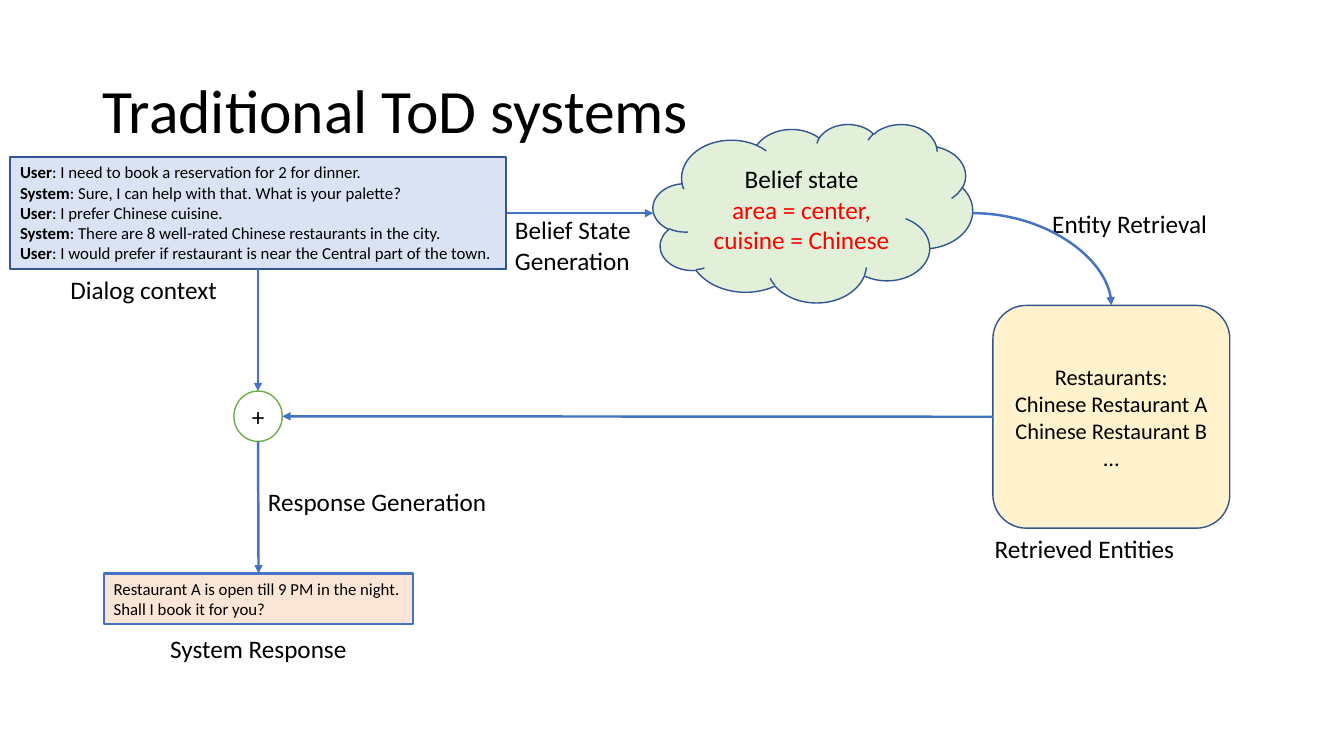
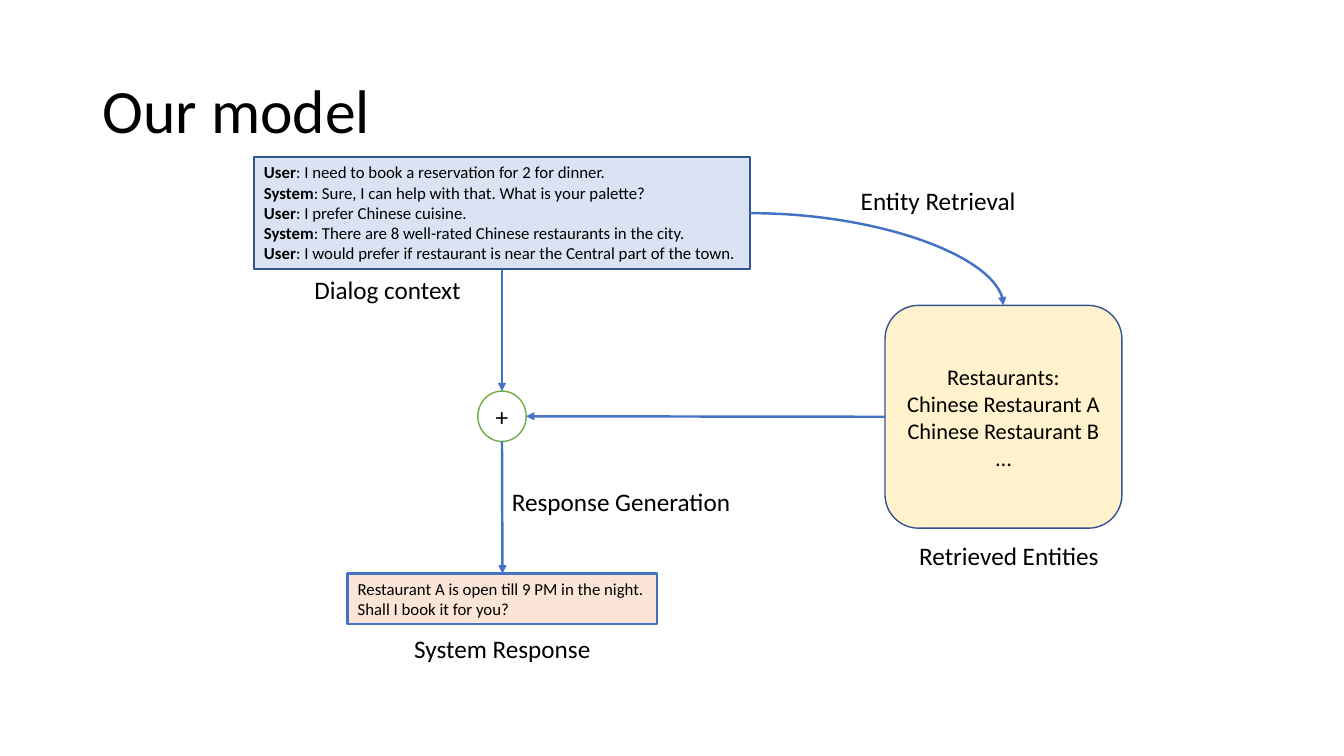
"""Builds two slides that compare dialogue system pipelines as flow diagrams."""

from dataclasses import dataclass

import lxml.etree
import pptx
import pptx.dml.color
import pptx.enum.shapes
import pptx.enum.text
import pptx.oxml.ns
import pptx.presentation
import pptx.slide
import pptx.util

SHAPE = pptx.enum.shapes.MSO_SHAPE
CONNECTOR = pptx.enum.shapes.MSO_CONNECTOR
ALIGN = pptx.enum.text.PP_ALIGN
ANCHOR = pptx.enum.text.MSO_ANCHOR
FIT = pptx.enum.text.MSO_AUTO_SIZE

COLUMNS, ROWS = 133.33, 75
CELL = pptx.util.Inches(0.1)
FONT = "Calibri"
BLACK, RED, WHITE = "000000", "FF0000", "FFFFFF"
NAVY, BLUE, GREEN = "325491", "4472C4", "70AD47"
PALE_BLUE, PALE_GREEN = "DAE3F3", "E2F0D9"
PALE_YELLOW, PALE_ORANGE = "FFF2CC", "FBE5D6"
LABEL_HEIGHT = 4
Point = tuple[float, float]


@dataclass(frozen=True)
class Line:
    text: str
    speaker: str = ""
    color: str = BLACK


@dataclass(frozen=True)
class Box:
    column: float
    row: float
    width: float
    height: float
    lines: tuple[Line, ...]
    size: float = 18
    kind: SHAPE | None = None
    fill: str = WHITE
    border: str = NAVY
    weight: float = 1
    align: ALIGN = ALIGN.LEFT
    anchor: ANCHOR = ANCHOR.TOP
    wrap: bool = False
    fit: FIT = FIT.SHAPE_TO_FIT_TEXT
    spacing: float = 1

    @property
    def top(self) -> Point:
        return self.column + self.width / 2, self.row

    @property
    def bottom(self) -> Point:
        return self.column + self.width / 2, self.row + self.height

    @property
    def left(self) -> Point:
        return self.column, self.row + self.height / 2

    @property
    def right(self) -> Point:
        return self.column + self.width, self.row + self.height / 2


DIALOG = (
    Line(": I need to book a reservation for 2 for dinner.", "User"),
    Line(": Sure, I can help with that. What is your palette?", "System"),
    Line(": I prefer Chinese cuisine.", "User"),
    Line(": There are 8 well-rated Chinese restaurants in the city.", "System"),
    Line(": I would prefer if restaurant is near the Central part of the town.", "User"),
)
RESTAURANTS = tuple(
    map(Line, ("Restaurants:", "Chinese Restaurant A", "Chinese Restaurant B", "…"))
)
RESPONSE = (
    Line("Restaurant A is open till 9 PM in the night."),
    Line("Shall I book it for you?"),
)
BELIEF = (
    Line("Belief state"),
    Line("area = center,", color=RED),
    Line("cuisine = Chinese", color=RED),
)


def rgb(color: str) -> pptx.dml.color.RGBColor:
    return pptx.dml.color.RGBColor.from_string(color)


def cells(*lengths: float) -> list[pptx.util.Emu]:
    return [pptx.util.Emu(round(length * CELL)) for length in lengths]


def label(text: str, column: float, row: float, width: float) -> Box:
    return Box(column, row, width, LABEL_HEIGHT, (Line(text),))


def node(
    column: float, row: float, width: float, height: float, lines: tuple[Line, ...],
    kind: SHAPE, fill: str, border: str = NAVY, size: float = 18,
) -> Box:
    return Box(
        column, row, width, height, lines, size, kind, fill, border,
        align=ALIGN.CENTER, anchor=ANCHOR.MIDDLE, wrap=True, fit=FIT.NONE,
    )


def draw_box(page: pptx.slide.Slide, box: Box) -> None:
    place = cells(box.column, box.row, box.width, box.height)
    if box.kind is None:
        shape = page.shapes.add_textbox(*place)
    else:
        shape = page.shapes.add_shape(box.kind, *place)
        shape.shadow.inherit = False
        shape.fill.solid()
        shape.fill.fore_color.rgb = rgb(box.fill)
        shape.line.color.rgb = rgb(box.border)
        shape.line.width = pptx.util.Pt(box.weight)
    if box.kind == SHAPE.ROUNDED_RECTANGLE:
        shape.adjustments[0] = 0.15
    frame = shape.text_frame
    frame.text = "\n".join(line.speaker or line.text for line in box.lines)
    frame.word_wrap = box.wrap
    frame.auto_size = box.fit
    frame.vertical_anchor = box.anchor
    for para, line in zip(frame.paragraphs, box.lines):
        para.alignment = box.align
        para.line_spacing = box.spacing
        if line.speaker:
            para.runs[0].font.bold = True
            para.add_run().text = line.text
        for span in para.runs:
            span.font.name = FONT
            span.font.size = pptx.util.Pt(box.size)
            span.font.color.rgb = rgb(line.color)


def draw_arrow(
    page: pptx.slide.Slide, start: Point, end: Point, curved: bool = False
) -> None:
    kind = CONNECTOR.CURVE if curved else CONNECTOR.STRAIGHT
    arrow = page.shapes.add_connector(kind, *cells(*start, *end))
    arrow.line.color.rgb = rgb(BLUE)
    arrow.line.width = pptx.util.Pt(1.75)
    qn = pptx.oxml.ns.qn
    properties = arrow.element.spPr
    if curved:
        properties.find(qn("a:prstGeom")).set("prst", "curvedConnector2")
    outline = properties.find(qn("a:ln"))
    lxml.etree.SubElement(outline, qn("a:tailEnd"), type="triangle")
    lxml.etree.SubElement(properties, qn("a:effectLst"))


def add_page(deck: pptx.presentation.Presentation, title: str) -> pptx.slide.Slide:
    page = deck.slides.add_slide(deck.slide_layouts[6])
    heading = Box(
        9.2, 4, 115, 14.5, (Line(title),), 44,
        anchor=ANCHOR.MIDDLE, wrap=True, fit=FIT.NONE, spacing=0.9,
    )
    draw_box(page, heading)
    return page


def draw_flow(
    page: pptx.slide.Slide, start: float, store: float,
    retrieval: Point, retrieved: Point, belief: Box | None = None,
) -> None:
    dialog = Box(
        start, 15.6, 49.2, 11.1, DIALOG, 12, SHAPE.RECTANGLE, PALE_BLUE, weight=1.5
    )
    entities = node(
        store, 30.3, 23.5, 22.1, RESTAURANTS,
        SHAPE.ROUNDED_RECTANGLE, PALE_YELLOW, size=16,
    )
    response = Box(
        start + 9.3, 56.9, 30.7, 5, RESPONSE, 12,
        SHAPE.RECTANGLE, PALE_ORANGE, BLUE, 1.75,
    )
    merge = node(start + 22.2, 38.8, 4.8, 5, (Line("+"),), SHAPE.OVAL, WHITE, GREEN)
    labels = (
        label("Dialog context", start + 5, 26.7, 16.7),
        label("Response Generation", start + 24.6, 47.8, 24),
        label("System Response", start + 14.9, 62.3, 19.7),
        label("Entity Retrieval", *retrieval, 17.5),
        label("Retrieved Entities", *retrieved, 20),
    )
    source = belief or dialog
    if belief:
        draw_box(page, belief)
        draw_arrow(page, dialog.right, belief.left)
        generation = Box(50.1, 20.8, 14.6, 7.1, (Line("Belief State Generation"),), wrap=True)
        draw_box(page, generation)
    for box in (dialog, entities, response, merge, *labels):
        draw_box(page, box)
    draw_arrow(page, source.right, entities.top, curved=True)
    draw_arrow(page, dialog.bottom, merge.top)
    draw_arrow(page, merge.bottom, response.top)
    draw_arrow(page, entities.left, merge.right)


def main() -> None:
    deck = pptx.Presentation()
    deck.slide_width, deck.slide_height = cells(COLUMNS, ROWS)
    belief = node(64.8, 12.3, 31.7, 17.7, BELIEF, SHAPE.CLOUD, PALE_GREEN)
    draw_flow(
        add_page(deck, "Traditional ToD systems"),
        1, 98.5, (103.4, 20.2), (97.7, 52.4), belief,
    )
    draw_flow(add_page(deck, "Our model"), 25.2, 87.8, (84.4, 17.9), (90.2, 53.1))
    deck.save("out.pptx")


if __name__ == "__main__":
    main()
